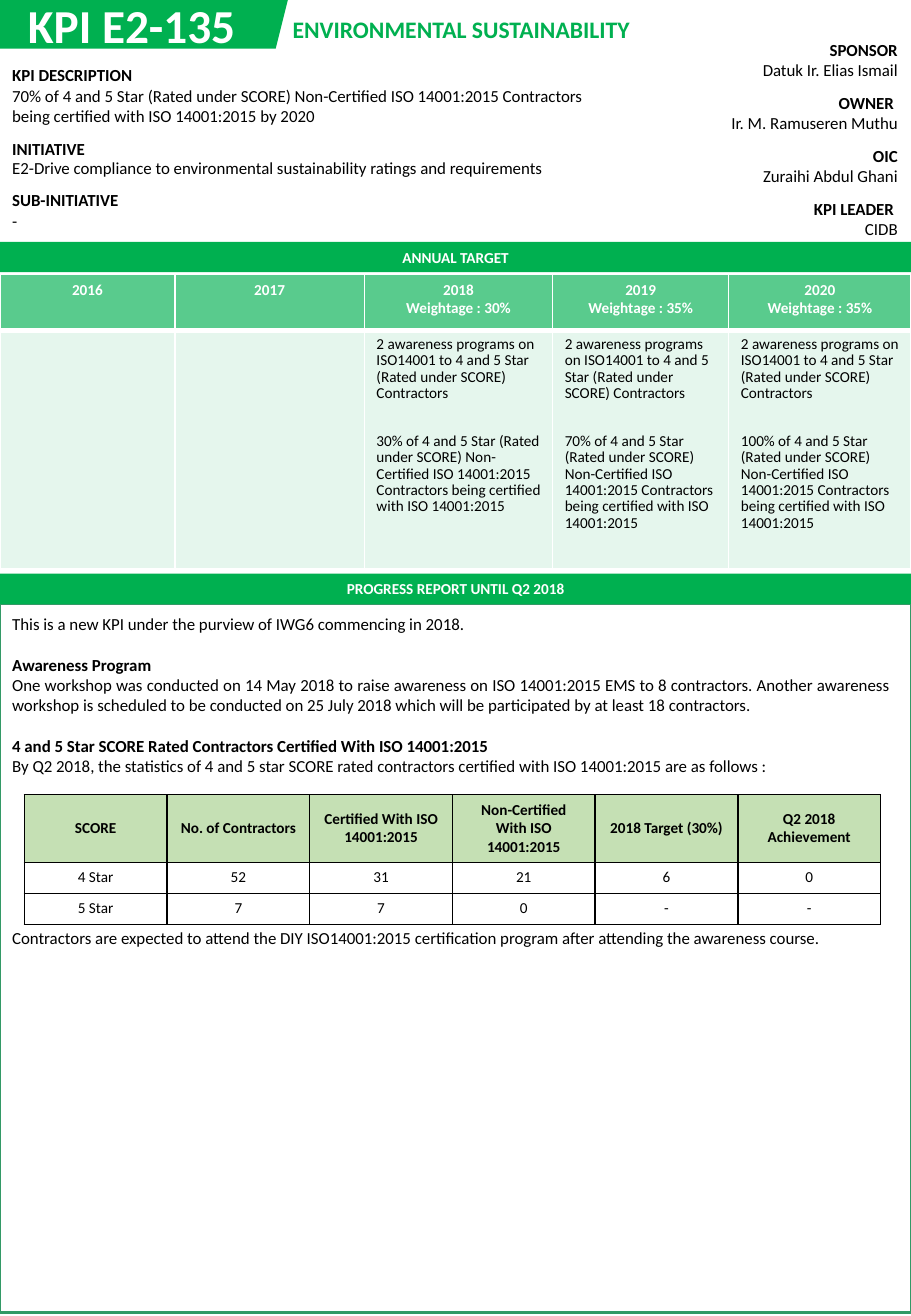
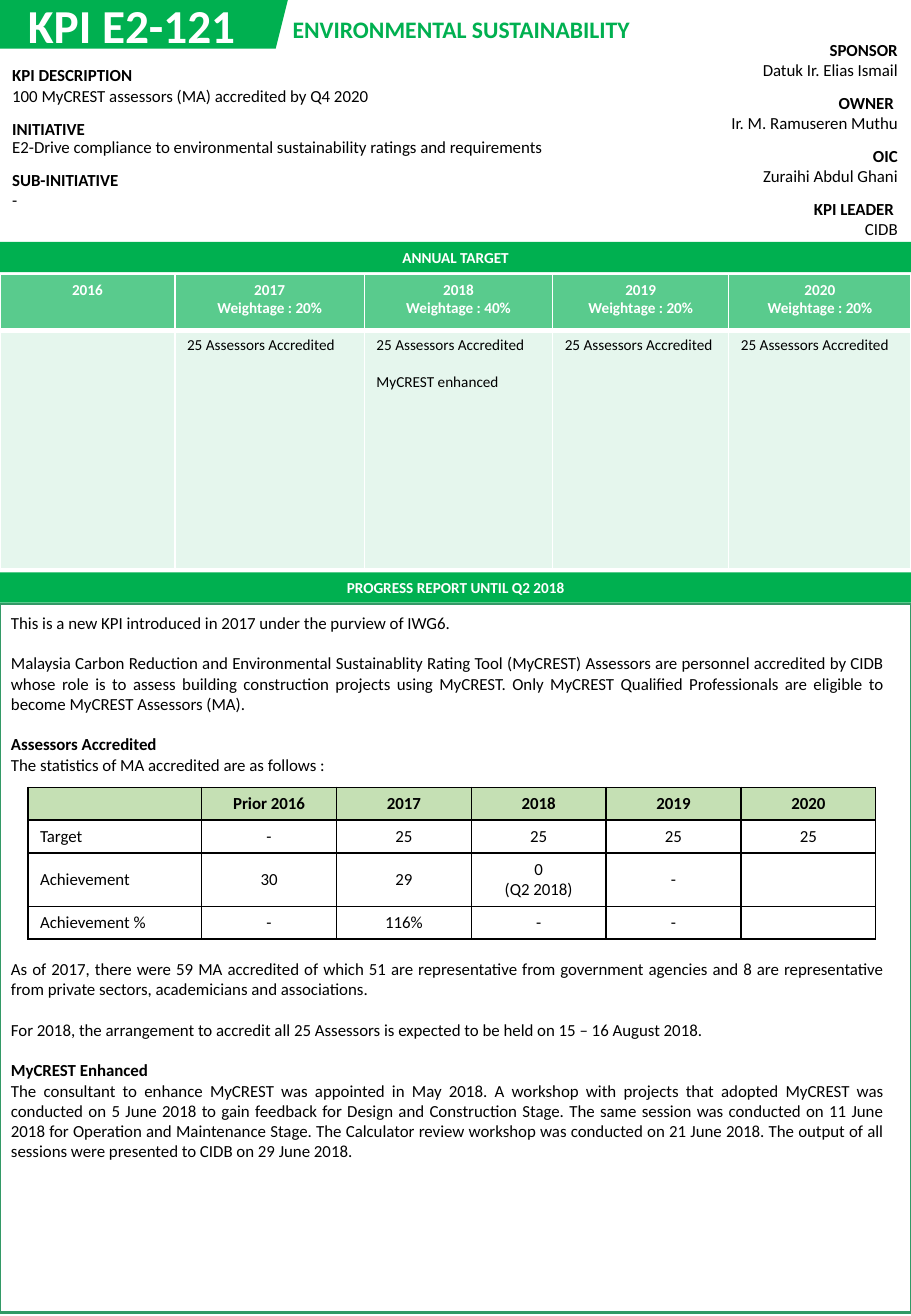
"""Build two KPI report pages that share one layout."""
from dataclasses import dataclass
from typing import NamedTuple

from lxml import etree
from pptx import Presentation, util as u
from pptx.dml.color import RGBColor
from pptx.enum import shapes, text
from pptx.oxml import ns

GREEN = RGBColor(0x00, 0xB0, 0x50)
FRAME_GREEN = RGBColor(0x33, 0x99, 0x66)
PALE_GREEN = RGBColor(0xC5, 0xE0, 0xB4)
WHITE = RGBColor(0xFF, 0xFF, 0xFF)
BLACK = RGBColor(0x00, 0x00, 0x00)
FONT = "Calibri"
UNIT = u.Inches(0.1)
PAGE_COLUMNS, PAGE_ROWS = 75, 108.3
LEFT, CENTER, RIGHT, JUSTIFY = (
    text.PP_ALIGN.LEFT, text.PP_ALIGN.CENTER, text.PP_ALIGN.RIGHT, text.PP_ALIGN.JUSTIFY)
MIDDLE, TOP = text.MSO_ANCHOR.MIDDLE, text.MSO_ANCHOR.TOP


class Box(NamedTuple):
    """Hold a place in grid units."""
    column: float
    row: float
    columns: float
    rows: float

    def place(self) -> list[int]:
        return [round(length * UNIT) for length in self]


@dataclass(frozen=True)
class Line:
    """Describe one paragraph."""
    text: str
    bold: bool = False
    before: float = 0
    spacing: float = 1.0


@dataclass(frozen=True)
class Year:
    """Describe one column of the annual target."""
    name: str
    weightage: str = ""
    targets: tuple[Line, ...] = ()


@dataclass(frozen=True)
class Statistics:
    """Describe the table inside the progress report."""
    column: float
    row: float
    widths: list[float]
    heights: list[float]
    size: float
    label_alignment: text.PP_ALIGN
    rows: list[list[str]]


@dataclass(frozen=True)
class Page:
    """Describe one KPI page."""
    title: str
    description: str
    description_rows: float
    years: list[Year]
    report_box: Box
    report: list[Line]
    statistics: Statistics
    band_row: float


YEAR_WIDTHS = [14.4, 15.6, 15.5, 14.5, 15]
YEAR_HEIGHTS = [4.6, 19.6]
PEOPLE = [("SPONSOR", "Datuk Ir. Elias Ismail"), ("OWNER ", "Ir. M. Ramuseren Muthu"),
          ("OIC", "Zuraihi Abdul Ghani"), ("KPI LEADER ", "CIDB")]
INITIATIVE = "E2-Drive compliance to environmental sustainability ratings and requirements"


def write(frame, lines, size: float, color: RGBColor, alignment=LEFT) -> None:
    for index, line in enumerate(lines):
        paragraph = frame.paragraphs[0] if index == 0 else frame.add_paragraph()
        paragraph.text = line.text
        paragraph.alignment = alignment
        paragraph.line_spacing = line.spacing
        paragraph.space_before = u.Pt(line.before)
        paragraph.space_after = u.Pt(0)
        properties = paragraph._p.get_or_add_pPr()
        properties.set("marL", "0")
        properties.set("indent", "0")
        etree.SubElement(properties, ns.qn("a:buNone"))
        font = paragraph.font
        font.name, font.size, font.bold = FONT, u.Pt(size), line.bold
        font.color.rgb = color


def set_borders(cell, color: RGBColor, bottom: float = 1) -> None:
    properties = cell._tc.get_or_add_tcPr()
    for side, width in zip("LRTB", (1, 1, 1, bottom)):
        border = etree.SubElement(properties, ns.qn(f"a:ln{side}"), w=str(u.Pt(width)))
        fill = etree.SubElement(border, ns.qn("a:solidFill"))
        etree.SubElement(fill, ns.qn("a:srgbClr"), val=str(color))


def fill_cell(cell, color: RGBColor, opacity: int = 100) -> None:
    cell.fill.solid()
    cell.fill.fore_color.rgb = color
    if opacity < 100:
        tone = cell._tc.tcPr.find(ns.qn("a:solidFill"))[0]
        etree.SubElement(tone, ns.qn("a:alpha"), val=str(opacity * 1000))


def add_grid(slide, column: float, row: float, widths, heights):
    box = Box(column, row, sum(widths), sum(heights))
    table = slide.shapes.add_table(len(heights), len(widths), *box.place()).table
    table.first_row = table.horz_banding = False
    for table_column, width in zip(table.columns, widths):
        table_column.width = round(width * UNIT)
    for table_row, height in zip(table.rows, heights):
        table_row.height = round(height * UNIT)
    return table


def add_facts(slide, box: Box, heights, facts, alignment) -> None:
    table = add_grid(slide, box.column, box.row, [box.columns], heights)
    for index, lines in enumerate(facts):
        cell = table.cell(index, 0)
        cell.fill.background()
        write(cell.text_frame, lines, 10, BLACK, alignment)


def add_shape(slide, kind, box: Box, fill=None, line=None):
    shape = slide.shapes.add_shape(kind, *box.place())
    shape.shadow.inherit = False
    if fill is None:
        shape.fill.background()
    else:
        shape.fill.solid()
        shape.fill.fore_color.rgb = fill
    if line is None:
        shape.line.fill.background()
    else:
        shape.line.color.rgb = line
        shape.line.width = u.Pt(1.5)
    return shape


def add_band(slide, row: float, label: str) -> None:
    band = add_shape(slide, shapes.MSO_SHAPE.RECTANGLE, Box(0, row, PAGE_COLUMNS, 2.5), GREEN)
    band.text_frame.vertical_anchor = MIDDLE
    write(band.text_frame, [Line(label, True)], 9, WHITE, CENTER)


def fill_placeholder(placeholder, box: Box, anchor) -> None:
    placeholder.left, placeholder.top, placeholder.width, placeholder.height = box.place()
    frame = placeholder.text_frame
    frame.word_wrap = True
    frame.auto_size = text.MSO_AUTO_SIZE.NONE
    frame.vertical_anchor = anchor


def add_years(slide, years: list[Year]) -> None:
    table = add_grid(slide, 0, 22.6, YEAR_WIDTHS, YEAR_HEIGHTS)
    for index, year in enumerate(years):
        heading, target = table.cell(0, index), table.cell(1, index)
        set_borders(heading, WHITE, bottom=3)
        set_borders(target, WHITE)
        fill_cell(heading, GREEN, 65)
        fill_cell(target, GREEN, 10)
        names = [year.name] + ([f"Weightage : {year.weightage}"] if year.weightage else [])
        write(heading.text_frame, [Line(name, True) for name in names], 9, WHITE, CENTER)
        write(target.text_frame, year.targets or [Line("")], 9, BLACK)


def add_statistics(slide, statistics: Statistics) -> None:
    table = add_grid(slide, statistics.column, statistics.row,
                     statistics.widths, statistics.heights)
    for row, values in enumerate(statistics.rows):
        for column, value in enumerate(values):
            cell = table.cell(row, column)
            set_borders(cell, BLACK)
            fill_cell(cell, WHITE if row else PALE_GREEN)
            cell.vertical_anchor = MIDDLE
            alignment = statistics.label_alignment if row and not column else CENTER
            lines = [Line(part, row == 0) for part in value.split("\n")]
            write(cell.text_frame, lines, statistics.size, BLACK, alignment)


def add_page(presentation, page: Page) -> None:
    slide = presentation.slides.add_slide(presentation.slide_layouts[1])
    title, report = slide.placeholders
    add_shape(slide, shapes.MSO_SHAPE.PARALLELOGRAM, Box(-1.7, 0, 25.4, 4), GREEN)
    add_years(slide, page.years)
    add_shape(slide, shapes.MSO_SHAPE.RECTANGLE, Box(0, 49.7, PAGE_COLUMNS, 58.3),
              line=FRAME_GREEN)
    add_facts(slide, Box(50.5, 2.8, 24.4, 17.3), [4.33] * 4,
              [(Line(role, True), Line(name)) for role, name in PEOPLE], RIGHT)
    add_facts(slide, Box(0, 4.9, 51.4, 14.5), [page.description_rows, 4.2, 4.2],
              [(Line("KPI DESCRIPTION", True), Line(page.description)),
               (Line("INITIATIVE", True), Line(INITIATIVE, spacing=0.88)),
               (Line("SUB-INITIATIVE", True), Line("-"))], LEFT)
    fill_placeholder(report, page.report_box, TOP)
    write(report.text_frame, page.report, 10, BLACK, JUSTIFY)
    theme = slide.shapes.add_textbox(*Box(23.1, 0.7, 30.8, 3.4).place())
    theme.text_frame.word_wrap = False
    write(theme.text_frame, [Line("ENVIRONMENTAL SUSTAINABILITY", True)], 14, GREEN)
    fill_placeholder(title, Box(1.3, -0.8, 22.4, 5.7), MIDDLE)
    write(title.text_frame, [Line(page.title, True)], 28, WHITE)
    slide.shapes._spTree.append(title._element)
    add_band(slide, page.band_row, "PROGRESS REPORT UNTIL Q2 2018")
    add_band(slide, 19.9, "ANNUAL TARGET")
    add_statistics(slide, page.statistics)


def contractor_targets(share: str) -> tuple[Line, ...]:
    return (Line("2 awareness programs on ISO14001 to 4 and 5 Star (Rated under SCORE) "
                 "Contractors", spacing=0.88),
            Line(f"{share} of 4 and 5 Star (Rated under SCORE) Non-Certified ISO 14001:2015 "
                 "Contractors being certified with ISO 14001:2015", before=19, spacing=0.88))


ASSESSORS = Line("25 Assessors Accredited")
PAGES = [
    Page("KPI E2-135",
         "70% of 4 and 5 Star (Rated under SCORE) Non-Certified ISO 14001:2015 Contractors "
         "being certified with ISO 14001:2015 by 2020", 6.1,
         [Year("2016"), Year("2017"), Year("2018", "30%", contractor_targets("30%")),
          Year("2019", "35%", contractor_targets("70%")),
          Year("2020", "35%", contractor_targets("100%"))],
         Box(0, 50, 74.2, 29.5),
         [Line("This is a new KPI under the purview of IWG6 commencing in 2018."),
          Line("Awareness Program", True, 12),
          Line("One workshop was conducted on 14 May 2018 to raise awareness on ISO 14001:2015 "
               "EMS to 8 contractors. Another awareness workshop is scheduled to be conducted "
               "on 25 July 2018 which will be participated by at least 18 contractors."),
          Line("4 and 5 Star SCORE Rated Contractors Certified With ISO 14001:2015", True, 12),
          Line("By Q2 2018, the statistics of 4 and 5 star SCORE rated contractors certified "
               "with ISO 14001:2015 are as follows :"),
          Line("Contractors are expected to attend the DIY ISO14001:2015 certification program "
               "after attending the awareness course.", before=90)],
         Statistics(2, 65.4, [11.75] * 6, [5.5, 2.55, 2.55], 9, CENTER,
                    [["SCORE", "No. of Contractors", "Certified With ISO 14001:2015",
                      "Non-Certified With ISO 14001:2015", "2018 Target (30%)",
                      "Q2 2018 Achievement"],
                     ["4 Star", "52", "31", "21", "6", "0"],
                     ["5 Star", "7", "7", "0", "-", "-"]]),
         47.2),
    Page("KPI E2-121", "100 MyCREST assessors (MA) accredited by Q4 2020", 4.4,
         [Year("2016"), Year("2017", "20%", (ASSESSORS,)),
          Year("2018", "40%", (ASSESSORS, Line("MyCREST enhanced", before=11))),
          Year("2019", "20%", (ASSESSORS,)), Year("2020", "20%", (ASSESSORS,))],
         Box(-0.1, 49.9, 73.8, 49.8),
         [Line("This is a new KPI introduced in 2017 under the purview of IWG6."),
          Line("Malaysia Carbon Reduction and Environmental Sustainablity Rating Tool (MyCREST) "
               "Assessors are personnel accredited by CIDB whose role is to assess building "
               "construction projects using MyCREST. Only MyCREST Qualified Professionals are "
               "eligible to become MyCREST Assessors (MA).", before=12),
          Line("Assessors Accredited", True, 12),
          Line("The statistics of MA accredited are as follows :"),
          Line("As of 2017, there were 59 MA accredited of which 51 are representative from "
               "government agencies and 8 are representative from private sectors, "
               "academicians and associations.", before=109),
          Line("For 2018, the arrangement to accredit all 25 Assessors is expected to be held "
               "on 15 – 16 August 2018.", before=12),
          Line("MyCREST Enhanced", True, 12),
          Line("The consultant to enhance MyCREST was appointed in May 2018. A workshop with "
               "projects that adopted MyCREST was conducted on 5 June 2018 to gain feedback for "
               "Design and Construction Stage. The same session was conducted on 11 June 2018 "
               "for Operation and Maintenance Stage. The Calculator review workshop was "
               "conducted on 21 June 2018. The output of all sessions were presented to CIDB "
               "on 29 June 2018.")],
         Statistics(2.3, 64.8, [14.3] + [11.1] * 5, [2.7, 2.7, 4.4, 2.7], 10, LEFT,
                    [["", "Prior 2016", "2017", "2018", "2019", "2020"],
                     ["Target", "-", "25", "25", "25", "25"],
                     ["Achievement", "30", "29", "0\n(Q2 2018)", "-", ""],
                     ["Achievement %", "-", "116%", "-", "-", ""]]),
         47.1),
]


def main() -> None:
    presentation = Presentation()
    presentation.slide_width = round(PAGE_COLUMNS * UNIT)
    presentation.slide_height = round(PAGE_ROWS * UNIT)
    for page in PAGES:
        add_page(presentation, page)
    presentation.save("out.pptx")


if __name__ == "__main__":
    main()
